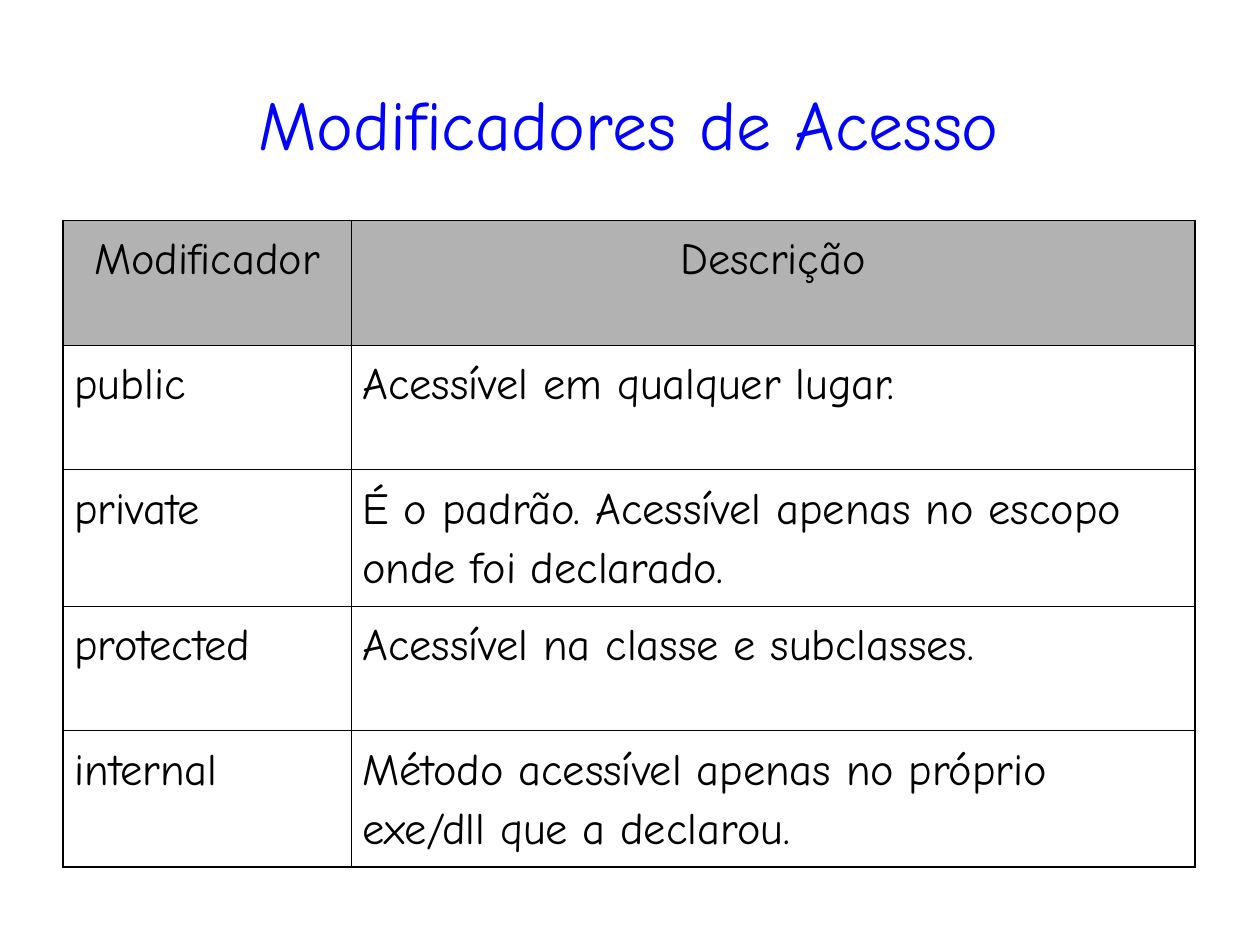
"""Build a slide with a table of access modifiers."""
from lxml import etree
from pptx import Presentation
from pptx import util as u
from pptx.dml.color import RGBColor
from pptx.enum import text
from pptx.oxml import ns

BLACK = RGBColor(0, 0, 0)
BLUE = RGBColor(0, 0, 255)
GRAY = RGBColor(0xB2, 0xB2, 0xB2)
THICK, THIN = u.Pt(1.08), u.Pt(0.45)

ROWS = [
    ("Modificador", "Descrição"),
    ("public", "Acessível em qualquer lugar."),
    ("private", "É o padrão. Acessível apenas no escopo onde foi declarado."),
    ("protected", "Acessível na classe e subclasses."),
    ("internal", "Método acessível apenas no próprio exe/dll que a declarou."),
]
COLUMN_WIDTHS = [6.4, 18.75]
ROW_HEIGHTS = [2.77, 2.77, 3.02, 2.77, 3.02]


class SlideWriter:
    font_name = "Comic Neue"
    line_spacing = 1.17

    def __init__(self, page):
        self.page = page

    def style(self, para, size, color, align):
        para.alignment = align
        para.line_spacing = self.line_spacing
        para.font.name = self.font_name
        para.font.size = u.Pt(size)
        para.font.color.rgb = color

    def title(self, words, left, top, width, height):
        box = self.page.shapes.add_textbox(u.Cm(left), u.Cm(top), u.Cm(width), u.Cm(height))
        frame = box.text_frame
        frame.word_wrap = True
        frame.vertical_anchor = text.MSO_ANCHOR.MIDDLE
        frame.margin_left = frame.margin_right = frame.margin_top = frame.margin_bottom = 0
        frame.text = words
        self.style(frame.paragraphs[0], 44, BLUE, text.PP_ALIGN.CENTER)

    def border(self, cell, side, width):
        line = etree.SubElement(cell._tc.get_or_add_tcPr(), ns.qn(f"a:ln{side}"), w=str(int(width)))
        fill = etree.SubElement(line, ns.qn("a:solidFill"))
        etree.SubElement(fill, ns.qn("a:srgbClr"), val=str(BLACK))

    def table(self, rows, left, top, widths, heights):
        frame = self.page.shapes.add_table(
            len(heights), len(widths), u.Cm(left), u.Cm(top), u.Cm(sum(widths)), u.Cm(sum(heights)))
        table = frame.table
        table.first_row = table.horz_banding = False
        for column, width in zip(table.columns, widths):
            column.width = u.Cm(width)
        for row, height in zip(table.rows, heights):
            row.height = u.Cm(height)
        for i, row in enumerate(rows):
            for j, words in enumerate(row):
                cell = table.cell(i, j)
                outer = {"L": j == 0, "R": j == len(widths) - 1, "T": i == 0, "B": i == len(rows) - 1}
                for side, is_outer in outer.items():
                    self.border(cell, side, THICK if is_outer else THIN)
                self.fill_cell(cell, words, is_header=i == 0)

    def fill_cell(self, cell, words, is_header):
        if is_header:
            cell.fill.solid()
            cell.fill.fore_color.rgb = GRAY
        else:
            cell.fill.background()
        cell.text = words
        para = cell.text_frame.paragraphs[0]
        self.style(para, 28, BLACK, text.PP_ALIGN.CENTER if is_header else text.PP_ALIGN.LEFT)
        para.space_after = u.Pt(14.3)


def main():
    deck = Presentation()
    deck.slide_width, deck.slide_height = u.Cm(28), u.Cm(21)
    writer = SlideWriter(deck.slides.add_slide(deck.slide_layouts[6]))
    writer.title("Modificadores de Acesso", 1.4, 0.4, 25.15, 4.34)
    writer.table(ROWS, 1.4, 4.9, COLUMN_WIDTHS, ROW_HEIGHTS)
    deck.save("out.pptx")


if __name__ == "__main__":
    main()
